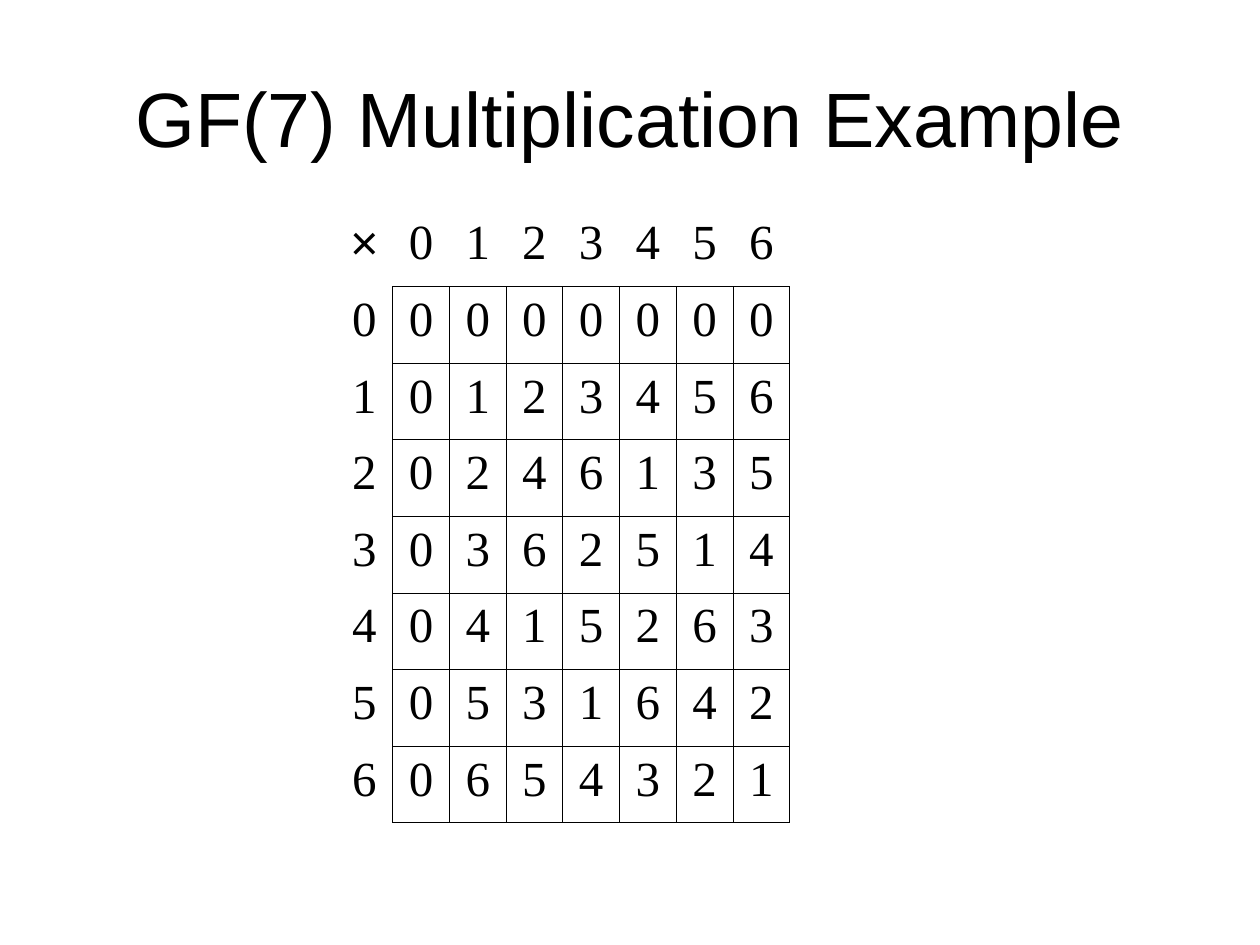
from lxml.etree import SubElement
from pptx import Presentation
from pptx.dml.color import RGBColor
from pptx.enum.text import MSO_ANCHOR as ANCHOR, PP_ALIGN as ALIGN
from pptx.oxml.ns import qn
from pptx.util import Emu, Pt

PX = 914400 // 126
ORDER = 7
BLACK = "000000"
BORDER_PT = 0.45


def px(n):
    return Emu(n * PX)


def color(hex_code):
    return RGBColor.from_string(hex_code)


def set_text(tf, text, size, font):
    tf.text = text
    p = tf.paragraphs[0]
    p.alignment = ALIGN.CENTER
    r = p.runs[0]
    r.font.size = Pt(size)
    r.font.name = font
    r.font.color.rgb = color(BLACK)
    return p


def add_title(s, text, x, y, w, h):
    tf = s.shapes.add_textbox(px(x), px(y), px(w), px(h)).text_frame
    tf.word_wrap = True
    tf.vertical_anchor = ANCHOR.MIDDLE
    set_text(tf, text, 44, "Arial")


def set_borders(cell, edges):
    """Draw the edges marked True and hide the others."""
    tc_pr = cell._tc.get_or_add_tcPr()
    for tag, visible in edges.items():
        ln = SubElement(tc_pr, qn(f"a:{tag}"), w=str(Pt(BORDER_PT)))
        if visible:
            fill = SubElement(ln, qn("a:solidFill"))
            SubElement(fill, qn("a:srgbClr"), val=BLACK)
        else:
            SubElement(ln, qn("a:noFill"))


def add_product_table(s, order, x, y, w, h):
    n = order + 1
    table = s.shapes.add_table(n, n, px(x), px(y), px(w), px(h)).table
    table.first_row = table.horz_banding = False
    for col in table.columns:
        col.width = px(w) // n
    for row in table.rows:
        row.height = px(h) // n

    # Row 0 and column 0 hold the factors, the rest their products
    for i in range(n):
        for j in range(n):
            if i and j:
                text = str((i - 1) * (j - 1) % order)
            else:
                text = str(i + j - 1) if i + j else "×"
            cell = table.cell(i, j)
            font = "Times New Roman" if i + j else "Arial"
            p = set_text(cell.text_frame, text, 28, font)
            p.space_before = p.space_after = Pt(3)
            inner = i > 0 and j > 0
            set_borders(cell, {"lnL": inner, "lnR": i > 0,
                               "lnT": inner, "lnB": j > 0})
            cell.fill.background()


def main():
    prs = Presentation()
    prs.slide_width, prs.slide_height = px(1260), px(945)
    s = prs.slides.add_slide(prs.slide_layouts[6])
    add_title(s, "GF(7) Multiplication Example", 63, 38, 1134, 158)
    add_product_table(s, ORDER, 336, 210, 454, 613)
    prs.save("out.pptx")


if __name__ == "__main__":
    main()
